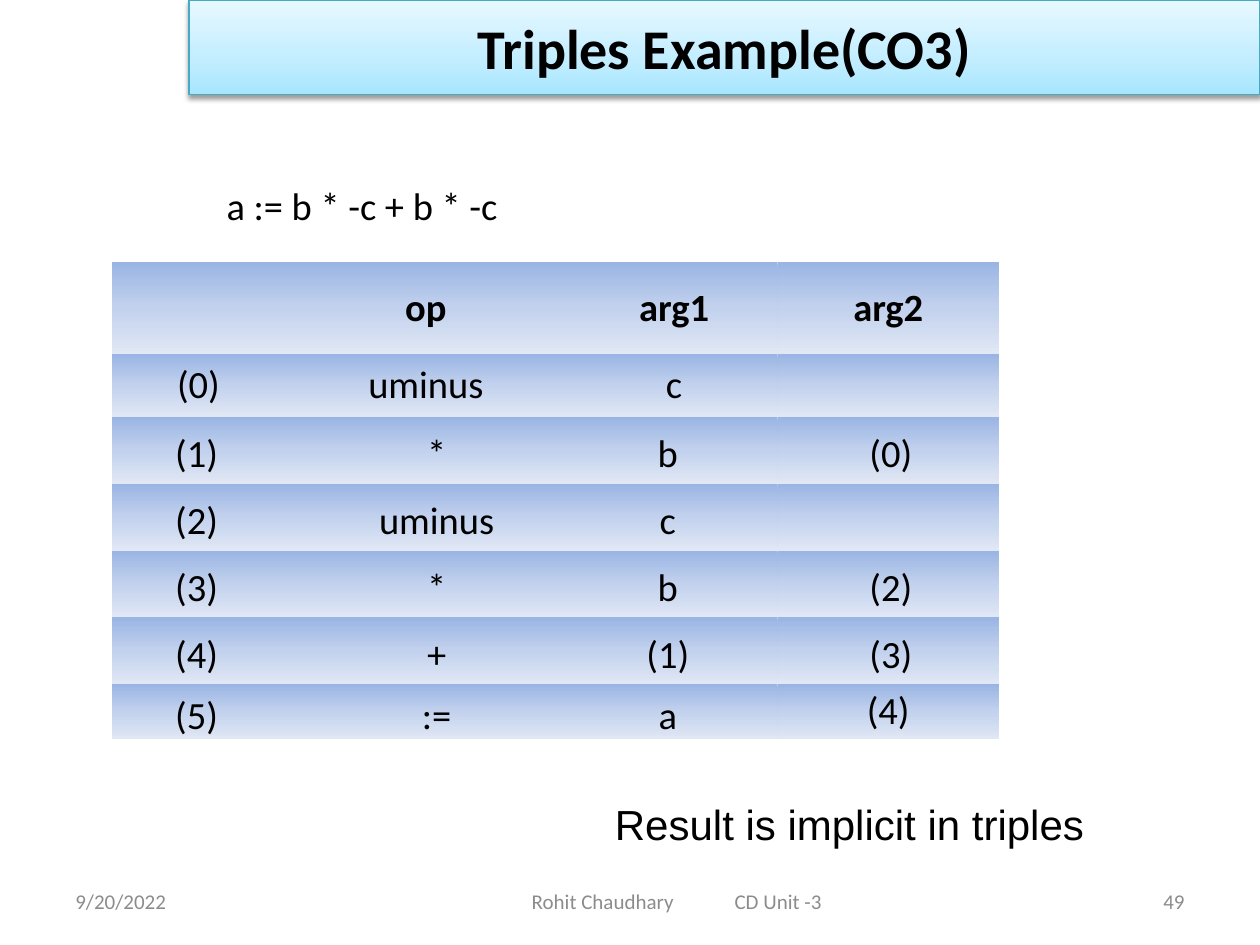
from lxml.etree import SubElement
from pptx import Presentation
from pptx.dml.color import RGBColor
from pptx.enum.text import MSO_ANCHOR as Anchor, PP_ALIGN as Align
from pptx.oxml.ns import qn
from pptx.util import Inches, Pt

BLACK = RGBColor(0x00, 0x00, 0x00)
GREY = RGBColor(0x8C, 0x8C, 0x8C)
TEAL = RGBColor(0x46, 0xAA, 0xC5)
CELL_STOPS = [(0, RGBColor(0x9A, 0xB5, 0xE4)), (50, RGBColor(0xC2, 0xD1, 0xED)),
              (100, RGBColor(0xE1, 0xE8, 0xF5))]
TITLE_STOPS = [(0, RGBColor(0xA7, 0xE6, 0xFF)), (35, RGBColor(0xC1, 0xED, 0xFF)),
               (100, RGBColor(0xE7, 0xF8, 0xFF))]

NO_STYLE = "{2D5ABB26-0587-4C30-8999-92F81FD0307C}"
COLUMN_WIDTHS = [1.34, 2.2, 1.74, 1.76]
ROW_HEIGHTS = [0.73, 0.5] + [0.53] * 4 + [0.43]
TRIPLES = [
    ["", "op", "arg1", "arg2"],
    ["(0)", "uminus", "c", ""],
    ["(1)", "*", "b", "(0)"],
    ["(2)", "uminus", "c", ""],
    ["(3)", "*", "b", "(2)"],
    ["(4)", "+", "(1)", "(3)"],
    ["(5)", ":=", "a", "(4)"],
]
TOP_INDENTS = [[0, 0.1, 0.1, 0], [0.03, 0.1, 0.1, 0]]
BODY_INDENTS = [0, 0.27, 0, 0.04]


def set_gradient(fill, properties, stops, angle):
    """Fill with any number of stops; the angle runs counter-clockwise."""
    fill.gradient()
    fill.gradient_angle = angle
    stop_list = properties.find(".//" + qn("a:gsLst"))
    for old_stop in list(stop_list):
        stop_list.remove(old_stop)
    for position, color in stops:
        stop = SubElement(stop_list, qn("a:gs"), pos=str(position * 1000))
        SubElement(stop, qn("a:srgbClr"), val=str(color))


def add_shadow(shape):
    effects = SubElement(shape._element.spPr, qn("a:effectLst"))
    shadow = SubElement(effects, qn("a:outerShdw"), blurRad=str(Pt(3.1)),
                        dist=str(Pt(1.6)), dir="5400000", rotWithShape="0")
    color = SubElement(shadow, qn("a:srgbClr"), val=str(BLACK))
    SubElement(color, qn("a:alpha"), val="38000")


def set_margins(holder, left=0, top=0, right=0, bottom=0):
    holder.margin_left, holder.margin_top = Inches(left), Inches(top)
    holder.margin_right, holder.margin_bottom = Inches(right), Inches(bottom)


def write(paragraph, text, size, color=BLACK, font="Calibri", bold=False,
          align=Align.LEFT, indent=0):
    paragraph.alignment = align
    if indent:
        paragraph._p.get_or_add_pPr().set("marL", str(Inches(indent)))
    run = paragraph.add_run()
    run.text = text
    run.font.name, run.font.size, run.font.bold = font, Pt(size), bold
    run.font.color.rgb = color


def add_text(slide, box, text, size, anchor=Anchor.TOP, **style):
    frame = slide.shapes.add_textbox(*map(Inches, box)).text_frame
    frame.word_wrap = True
    frame.vertical_anchor = anchor
    write(frame.paragraphs[0], text, size, **style)
    return frame


def add_title(slide, text):
    title = slide.shapes.title
    title.left, title.top = Inches(1.5), Inches(0)
    title.width, title.height = Inches(8.5), Inches(0.75)
    set_gradient(title.fill, title._element.spPr, TITLE_STOPS, 90)
    title.line.color.rgb = TEAL
    title.line.width = Pt(0.75)
    add_shadow(title)
    title.text_frame.vertical_anchor = Anchor.MIDDLE
    write(title.text_frame.paragraphs[0], text, 32, bold=True, align=Align.CENTER)


def format_cell(cell, text, row, column):
    is_body = row > 1
    is_last = (row, column) == (len(TRIPLES) - 1, len(COLUMN_WIDTHS) - 1)
    set_gradient(cell.fill, cell._tc.get_or_add_tcPr(), CELL_STOPS, 270)
    cell.vertical_anchor = Anchor.MIDDLE
    set_margins(cell, top=0.07 if is_body and not is_last else 0)
    if text:
        indents = BODY_INDENTS if is_body else TOP_INDENTS[row]
        write(cell.text_frame.paragraphs[0], text, 22, bold=row == 0,
              align=Align.CENTER, indent=0 if is_last else indents[column])


def add_triples_table(slide):
    frame = slide.shapes.add_table(
        len(TRIPLES), len(COLUMN_WIDTHS), Inches(0.89), Inches(2.08),
        Inches(sum(COLUMN_WIDTHS)), Inches(sum(ROW_HEIGHTS)))
    table = frame.table
    table.first_row = table.horz_banding = False
    table._tbl.tblPr.find(qn("a:tableStyleId")).text = NO_STYLE
    for column, width in zip(table.columns, COLUMN_WIDTHS):
        column.width = Inches(width)
    for row, height in zip(table.rows, ROW_HEIGHTS):
        row.height = Inches(height)
    for row, texts in enumerate(TRIPLES):
        for column, text in enumerate(texts):
            format_cell(table.cell(row, column), text, row, column)


def add_footer(slide):
    style = dict(size=12, color=GREY, anchor=Anchor.MIDDLE)
    add_text(slide, (0.5, 6.95, 2.33, 0.4), "9/20/2022", **style)
    add_text(slide, (7.17, 6.95, 2.33, 0.4), "49", align=Align.RIGHT, **style)
    center = add_text(slide, (3.42, 6.95, 3.92, 0.4),
                      "Rohit Chaudhary\tCD Unit -3", **style)
    center.margin_left = Inches(0.8)
    properties = center.paragraphs[0]._p.get_or_add_pPr()
    tabs = SubElement(properties, qn("a:tabLst"))
    SubElement(tabs, qn("a:tab"), pos=str(Inches(1.61)), algn="l")


def main():
    presentation = Presentation()
    presentation.slide_width, presentation.slide_height = Inches(10), Inches(7.5)
    slide = presentation.slides.add_slide(presentation.slide_layouts[5])
    add_title(slide, "Triples Example(CO3)")
    expression = add_text(slide, (1.67, 1.42, 4.67, 0.8), "a := b * -c + b * -c",
                          22, indent=0.03)
    expression.paragraphs[0].line_spacing = Pt(24.8)
    add_triples_table(slide)
    result = add_text(slide, (4.87, 6.33, 3.75, 0.43),
                      "Result is implicit in triples", 24, font="Arial", indent=0.01)
    result.word_wrap = False
    set_margins(result, top=0.01)
    add_footer(slide)
    presentation.save("out.pptx")


if __name__ == "__main__":
    main()
